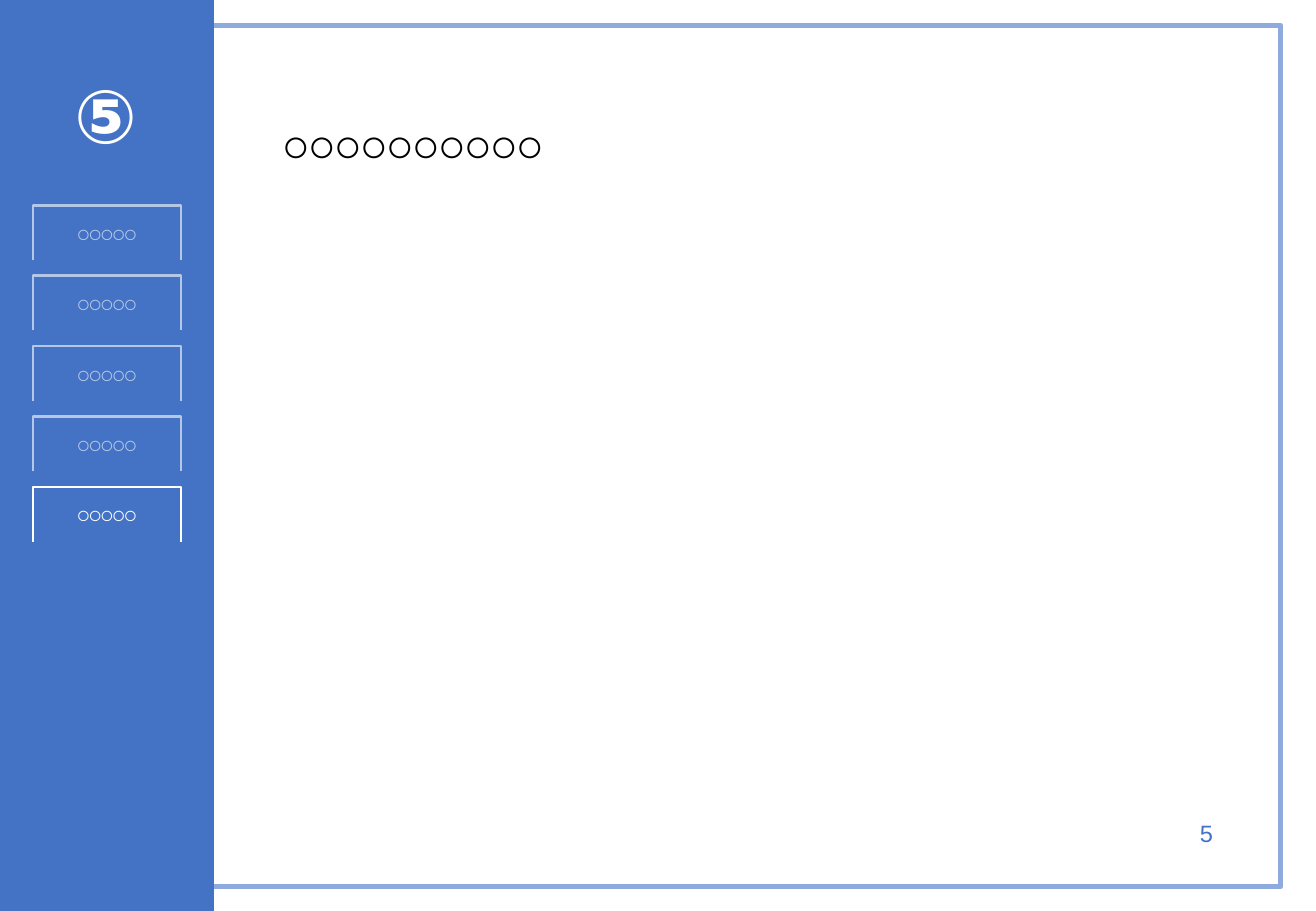
"""Build a slide with a blue side menu, a framed page and a heading."""
from dataclasses import dataclass

from pptx import Presentation
from pptx.dml.color import RGBColor
from pptx.enum.shapes import MSO_SHAPE
from pptx.enum.text import MSO_AUTO_SIZE, PP_ALIGN
from pptx.shapes.autoshape import Shape
from pptx.shapes.shapetree import SlideShapes
from pptx.util import Inches, Pt

BLUE = RGBColor(0x44, 0x72, 0xC4)
SOFT = RGBColor(0x8F, 0xAA, 0xDC)
PALE = RGBColor(0xB4, 0xC7, 0xE7)
WHITE = RGBColor(0xFF, 0xFF, 0xFF)
BLACK = RGBColor(0x00, 0x00, 0x00)

FONT = "Arial"
TIGHT = "-150"
TAB_LEFT, TAB_TOP = 0.27, 1.69
TAB_WIDTH, TAB_HEIGHT = 1.22, 0.45
TAB_PITCH = 0.58
TABS = ["○○○○○"] * 5
ACTIVE = 4


@dataclass
class Label:
    """A line of text with its place and look."""
    text: str
    left: float
    top: float
    width: float
    height: float
    size: int
    color: RGBColor
    align: PP_ALIGN = PP_ALIGN.CENTER
    bold: bool = True


def add_label(shapes: SlideShapes, label: Label) -> None:
    """Draw a label as a text box."""
    box = shapes.add_textbox(Inches(label.left), Inches(label.top),
                             Inches(label.width), Inches(label.height))
    frame = box.text_frame
    frame.word_wrap = True
    frame.auto_size = MSO_AUTO_SIZE.SHAPE_TO_FIT_TEXT
    line = frame.paragraphs[0]
    line.alignment = label.align
    run = line.add_run()
    run.text = label.text
    font = run.font
    font.name = FONT
    font.size = Pt(label.size)
    font.bold = label.bold
    font.color.rgb = label.color
    run._r.get_or_add_rPr().set("spc", TIGHT)


def add_rect(shapes: SlideShapes, left: float, top: float,
             width: float, height: float) -> Shape:
    """Add a plain rectangle."""
    rect = shapes.add_shape(MSO_SHAPE.RECTANGLE, Inches(left), Inches(top),
                            Inches(width), Inches(height))
    rect.shadow.inherit = False
    return rect


def set_line(shape: Shape, color: RGBColor, width: float) -> None:
    """Leave a shape unfilled and give it an outline."""
    shape.fill.background()
    shape.line.color.rgb = color
    shape.line.width = Pt(width)


def add_tab(shapes: SlideShapes, text: str, top: float,
            color: RGBColor) -> None:
    """Draw a menu tab: its text and a bracket open at the foot."""
    add_label(shapes, Label(text, TAB_LEFT, top + 0.06, TAB_WIDTH, 0.34,
                            14, color))
    left, right = Inches(TAB_LEFT), Inches(TAB_LEFT + TAB_WIDTH)
    head, foot = Inches(top), Inches(top + TAB_HEIGHT)
    path = shapes.build_freeform(left, foot)
    path.add_line_segments([(left, head), (right, head), (right, foot)],
                           close=False)
    bracket = path.convert_to_shape()
    bracket.shadow.inherit = False
    set_line(bracket, color, 1.5)


def main() -> None:
    """Build and save the slide."""
    deck = Presentation()
    deck.slide_width, deck.slide_height = Inches(10.83), Inches(7.5)
    shapes = deck.slides.add_slide(deck.slide_layouts[6]).shapes

    set_line(add_rect(shapes, 0.3, 0.21, 10.24, 7.09), SOFT, 3)
    panel = add_rect(shapes, 0, 0, 1.76, 7.5)
    panel.fill.solid()
    panel.fill.fore_color.rgb = BLUE
    panel.line.fill.background()

    add_label(shapes, Label("○○○○○○○○○○", 2.22, 0.9, 5.23, 0.57, 28, BLACK,
                            PP_ALIGN.LEFT))
    add_label(shapes, Label("⑤", 0.44, 0.52, 0.87, 0.87, 44, WHITE))
    for index, text in enumerate(TABS):
        add_tab(shapes, text, TAB_TOP + index * TAB_PITCH,
                WHITE if index == ACTIVE else PALE)
    add_label(shapes, Label("5", 9.63, 6.69, 0.45, 0.34, 14, BLUE,
                            PP_ALIGN.RIGHT, False))
    deck.save("out.pptx")


if __name__ == "__main__":
    main()
